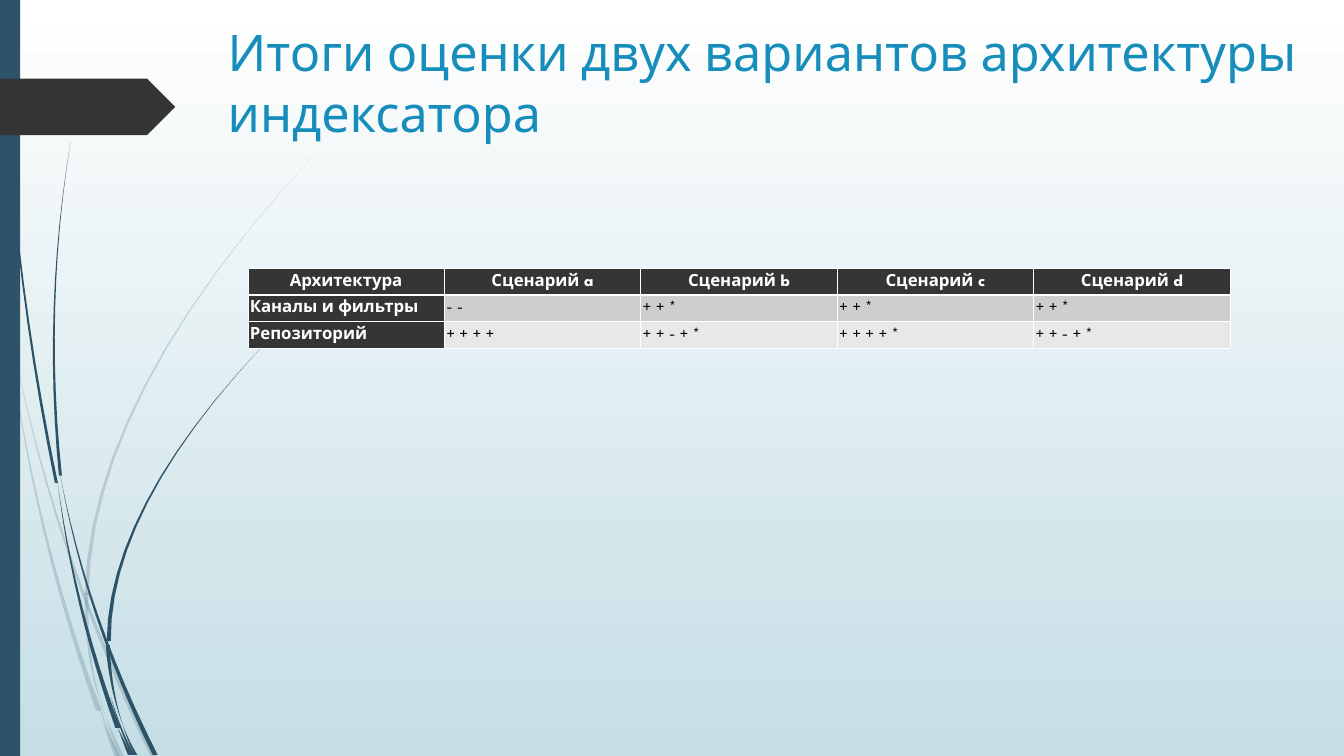
from dataclasses import dataclass

from lxml.etree import SubElement
from pptx import Presentation
from pptx.dml.color import RGBColor
from pptx.enum.shapes import MSO_SHAPE
from pptx.enum.text import MSO_ANCHOR, PP_ALIGN
from pptx.oxml.ns import qn
from pptx.presentation import Presentation as Deck
from pptx.shapes.base import BaseShape
from pptx.shapes.shapetree import GroupShapes
from pptx.slide import Slide
from pptx.table import _Cell
from pptx.text.text import _Paragraph
from pptx.util import Emu, Inches, Pt

Point = tuple[float, float]


@dataclass(frozen=True)
class Theme:
    """Colours, font and type sizes of the slide."""

    font: str = "League Spartan"
    title_size: int = 36
    table_size: int = 12
    title: str = "178DBB"
    stem: str = "2E5369"
    dark: str = "353535"
    light: str = "FFFFFF"
    text: str = "000000"
    sky: str = "C5DEE5"
    bands: tuple[str, ...] = ("CECECE", "E8E8E8")
    thin: float = 0.45
    thick: float = 1.47


@dataclass(frozen=True)
class Frame:
    """A rectangle in columns and rows of the grid."""

    left: int
    top: int
    width: int
    height: int

    def lengths(self) -> tuple[Emu, Emu, Emu, Emu]:
        """Return the rectangle in slide units."""
        return Emu(self.left * CELL), Emu(self.top * CELL), Emu(self.width * CELL), Emu(self.height * CELL)


@dataclass(frozen=True)
class Blade:
    """A curved blade of grass through three grid points, widening from tip to root."""

    tip: Point
    middle: Point
    root: Point
    width: int

    def outline(self) -> list[Point]:
        """Return the points of the right edge, then those of the left edge backwards."""
        right, left = [], []
        for step in range(STEPS + 1):
            share = step / STEPS
            weights = (1 - share) * (1 - 2 * share), 4 * share * (1 - share), share * (2 * share - 1)
            x, y = (sum(weight * value for weight, value in zip(weights, values))
                    for values in zip(self.tip, self.middle, self.root))
            offset = self.width * share / 2
            right.append((x + offset, y))
            left.append((x - offset, y))
        return right + left[:0:-1]


@dataclass(frozen=True)
class Plant:
    """A group of grass blades with one opacity in percent."""

    opacity: int
    blades: tuple[Blade, ...]


THEME = Theme()
CELL = Inches(0.01)
STEPS = 12
SLIDE = Frame(0, 0, 1334, 750)
SIDEBAR = Frame(0, 0, 20, 750)
TAG = Frame(0, 78, 174, 56)
TITLE = Frame(216, 10, 1117, 142)
TABLE = Frame(246, 266, 975, 78)

TITLE_TEXT = "Итоги оценки двух вариантов архитектуры индексатора"
ROWS = (
    ("Архитектура", *(f"Сценарий {letter}" for letter in "abcd")),
    ("Каналы и фильтры", "- -", "+ + *", "+ + *", "+ + *"),
    ("Репозиторий", "+ + + +", "+ + - + *", "+ + + + *", "+ + - + *"),
)

PLANTS = (
    Plant(20, (
        Blade((10, 350), (5, 316), (0, 290), 4),
        Blade((14, 345), (68, 548), (152, 751), 5),
        Blade((105, 711), (113, 732), (121, 751), 5),
        Blade((11, 350), (45, 530), (98, 705), 5),
        Blade((105, 711), (90, 655), (86, 588), 4),
        Blade((312, 153), (144, 383), (86, 590), 4),
        Blade((101, 714), (109, 733), (116, 751), 5),
        Blade((93, 683), (104, 716), (118, 751), 2),
    )),
    Plant(100, (
        Blade((3, 0), (18, 240), (56, 479), 3),
        Blade((60, 472), (96, 610), (154, 749), 5),
        Blade((57, 477), (80, 600), (117, 722), 5),
        Blade((70, 141), (54, 306), (60, 472), 3),
        Blade((122, 719), (128, 735), (135, 749), 3),
        Blade((260, 344), (146, 498), (108, 636), 4),
        Blade((117, 722), (123, 736), (129, 749), 4),
        Blade((122, 719), (112, 682), (107, 640), 4),
        Blade((110, 691), (120, 722), (132, 749), 3),
    )),
)


def paint(shape: BaseShape, colour: str, opacity: int = 100) -> None:
    """Give a shape a plain fill without line or shadow."""
    shape.shadow.inherit = False
    shape.line.fill.background()
    shape.fill.solid()
    shape.fill.fore_color.rgb = RGBColor.from_string(colour)
    if opacity < 100:
        colour_element = shape.fill._xPr.find(qn("a:solidFill"))[0]
        SubElement(colour_element, qn("a:alpha"), val=str(opacity * 1000))


def draw_blade(shapes: GroupShapes, blade: Blade, opacity: int) -> None:
    """Draw one blade of grass."""
    points = [(round(x * CELL), round(y * CELL)) for x, y in blade.outline()]
    builder = shapes.build_freeform(*points[0])
    builder.add_line_segments(points[1:], close=True)
    paint(builder.convert_to_shape(), THEME.stem, opacity)


def format_font(paragraph: _Paragraph, size: int, colour: str, bold: bool = False) -> None:
    """Set the font of a whole paragraph."""
    paragraph.font.name = THEME.font
    paragraph.font.size = Pt(size)
    paragraph.font.bold = bold
    paragraph.font.color.rgb = RGBColor.from_string(colour)


def draw_background(slide: Slide) -> None:
    """Fill the background with a downward gradient."""
    fill = slide.background.fill
    fill.gradient()
    fill.gradient_angle = 270
    for stop, colour in zip(fill.gradient_stops, (THEME.light, THEME.sky)):
        stop.color.rgb = RGBColor.from_string(colour)


def draw_decoration(slide: Slide) -> None:
    """Draw the grass, the sidebar and the page tag."""
    for plant in PLANTS:
        group = slide.shapes.add_group_shape()
        for blade in plant.blades:
            draw_blade(group.shapes, blade, plant.opacity)
    paint(slide.shapes.add_shape(MSO_SHAPE.RECTANGLE, *SIDEBAR.lengths()), THEME.stem)
    paint(slide.shapes.add_shape(MSO_SHAPE.PENTAGON, *TAG.lengths()), THEME.dark)


def write_title(slide: Slide) -> None:
    """Place and format the title."""
    title = slide.shapes.title
    title.left, title.top, title.width, title.height = TITLE.lengths()
    title.text_frame.text = TITLE_TEXT
    title.text_frame.vertical_anchor = MSO_ANCHOR.MIDDLE
    paragraph = title.text_frame.paragraphs[0]
    paragraph.alignment = PP_ALIGN.LEFT
    format_font(paragraph, THEME.title_size, THEME.title)


def draw_borders(cell: _Cell, row: int) -> None:
    """Draw the cell borders, with a thick rule below the header."""
    properties = cell._tc.get_or_add_tcPr()
    thick_side = {0: "lnB", 1: "lnT"}.get(row)
    for position, side in enumerate(("lnL", "lnR", "lnT", "lnB")):
        width = Pt(THEME.thick if side == thick_side else THEME.thin)
        line = SubElement(properties, qn(f"a:{side}"), w=str(width))
        SubElement(SubElement(line, qn("a:solidFill")), qn("a:srgbClr"), val=THEME.light)
        properties.insert(position, line)


def fill_cell(cell: _Cell, row: int, column: int, text: str) -> None:
    """Write and format one table cell."""
    heading = row == 0 or column == 0
    cell.text = text
    cell.margin_left = cell.margin_right = Inches(0.02)
    cell.margin_top = cell.margin_bottom = Inches(0.05)
    cell.vertical_anchor = MSO_ANCHOR.TOP if row else MSO_ANCHOR.MIDDLE
    cell.fill.solid()
    cell.fill.fore_color.rgb = RGBColor.from_string(THEME.dark if heading else THEME.bands[row - 1])
    paragraph = cell.text_frame.paragraphs[0]
    paragraph.alignment = PP_ALIGN.LEFT if row else PP_ALIGN.CENTER
    paragraph.line_spacing = 1.07
    format_font(paragraph, THEME.table_size, THEME.light if heading else THEME.text, heading)
    draw_borders(cell, row)


def draw_table(slide: Slide) -> None:
    """Draw the comparison table."""
    table = slide.shapes.add_table(len(ROWS), len(ROWS[0]), *TABLE.lengths()).table
    for row, texts in enumerate(ROWS):
        for column, text in enumerate(texts):
            fill_cell(table.cell(row, column), row, column, text)


def build() -> Deck:
    """Build the presentation."""
    presentation = Presentation()
    _, _, presentation.slide_width, presentation.slide_height = SLIDE.lengths()
    slide = presentation.slides.add_slide(presentation.slide_layouts[5])
    for draw in (draw_background, draw_decoration, write_title, draw_table):
        draw(slide)
    return presentation


if __name__ == "__main__":
    build().save("out.pptx")
